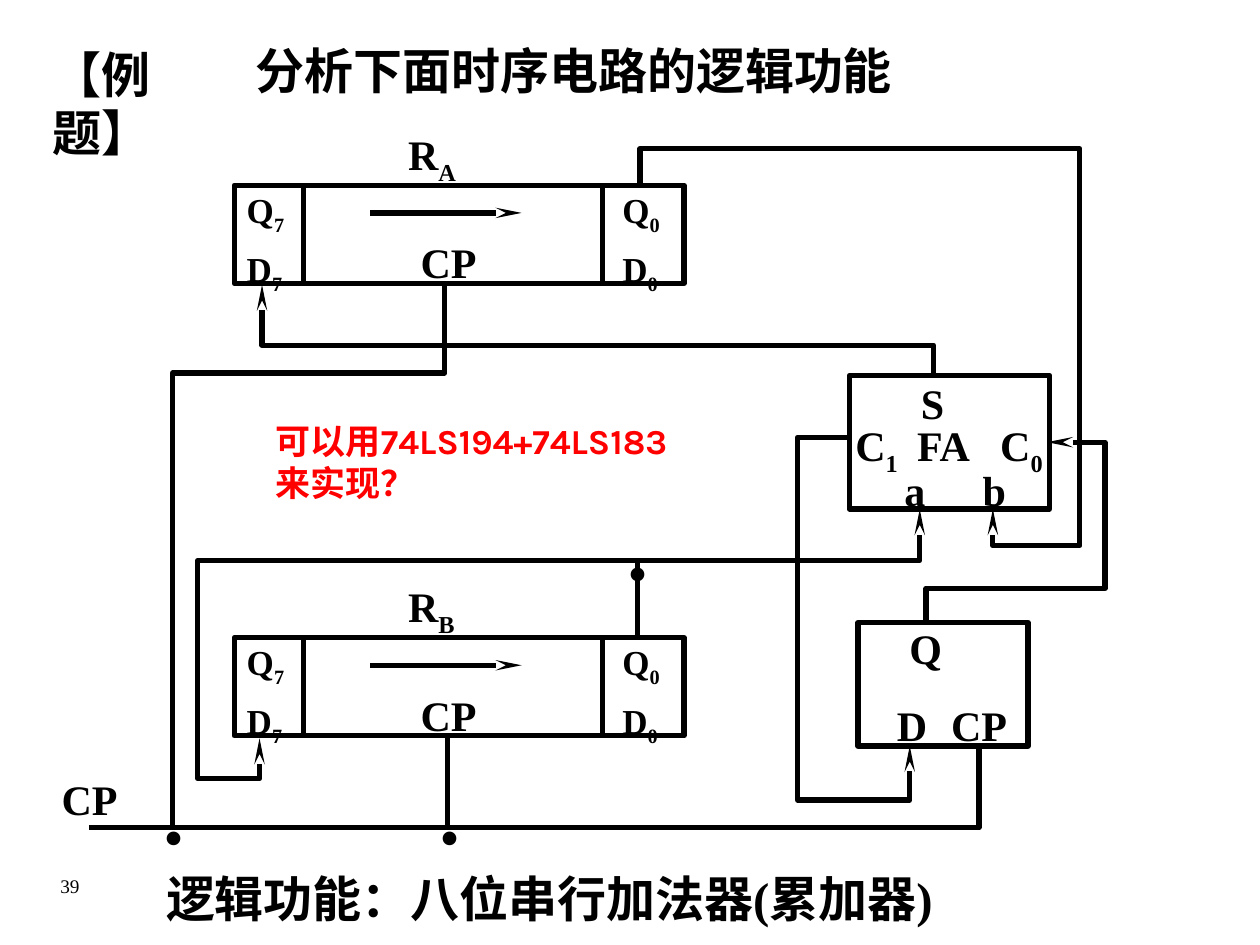
from pptx import Presentation
from pptx.dml.color import RGBColor
from pptx.enum.shapes import MSO_CONNECTOR, MSO_SHAPE
from pptx.enum.text import MSO_ANCHOR, MSO_AUTO_SIZE, PP_ALIGN
from pptx.oxml.ns import qn
from pptx.util import Pt
from lxml.etree import SubElement

SCALE = 9144  # EMU in one px, 100 px to the inch
BLACK = RGBColor(0, 0, 0)
WHITE = RGBColor(255, 255, 255)
RED = RGBColor(255, 0, 0)
SERIF = "Times New Roman"


def px(*nums):
    return [n * SCALE for n in nums]


def place(shape, box):
    shape.left, shape.top, shape.width, shape.height = px(*box)


def write(shape, lines, size, color=BLACK, font=SERIF, bold=True, align=PP_ALIGN.LEFT):
    """Each line is a string; an underscore starts its subscript."""
    frame = shape.text_frame
    frame.word_wrap = True
    frame.auto_size = MSO_AUTO_SIZE.NONE
    frame.vertical_anchor = MSO_ANCHOR.TOP
    frame.margin_left, frame.margin_right = px(10, 10)
    frame.margin_top, frame.margin_bottom = px(5 + round(size * 0.14), 5)
    for i, line in enumerate(lines):
        para = frame.add_paragraph() if i else frame.paragraphs[0]
        para.alignment = align
        para.space_before = Pt(12 if i else 0)
        if len(lines) > 1:
            para.line_spacing = 0.8
        for sub, part in enumerate(line.split("_")):
            run = para.add_run()
            run.text = part
            run.font.size = Pt(size)
            run.font.name = font
            run.font.bold = bold
            run.font.color.rgb = color
            if sub:
                run._r.get_or_add_rPr().set("baseline", "-25000")


def label(slide, box, *lines, size=24, **look):
    shape = slide.shapes.add_textbox(*px(*box))
    write(shape, lines, size, **look)


def stroke(shape, arrow=False, color=BLACK):
    shape.line.width = Pt(3)
    shape.line.color.rgb = color
    edge = shape.line._get_or_add_ln()
    SubElement(edge, qn("a:round"))
    if arrow:
        SubElement(edge, qn("a:tailEnd"), type="stealth", w="sm", len="lg")


def block(slide, box, color=BLACK):
    shape = slide.shapes.add_shape(MSO_SHAPE.RECTANGLE, *px(*box))
    shape.shadow.inherit = False
    shape.fill.background()
    stroke(shape, color=color)
    return shape


def line(slide, start, end, arrow=False):
    shape = slide.shapes.add_connector(MSO_CONNECTOR.STRAIGHT, *px(*start, *end))
    stroke(shape, arrow)
    SubElement(shape._element.spPr, qn("a:effectLst"))


def wire(slide, *points, arrow=True):
    pen = slide.shapes.build_freeform(*points[0], scale=SCALE)
    pen.add_line_segments(points[1:], close=False)
    shape = pen.convert_to_shape()
    shape.shadow.inherit = False
    shape.fill.background()
    stroke(shape, arrow)


def shifter(slide, top, name):
    """Eight-bit shift register, with its name above."""
    block(slide, (186, top, 357, 78))
    for x in (241, 478):
        line(slide, (x, top), (x, top + 79))
    for x, bit in ((186, 7), (484, 0)):
        label(slide, (x, top - 2, 55, 80), f"Q_{bit}", f"D_{bit}", size=20)
    label(slide, (324, top + 33, 88, 50), "CP")
    line(slide, (294, top + 22), (414, top + 22), arrow=True)
    label(slide, (314, top - 53, 88, 50), name)


def main():
    deck = Presentation()
    deck.slide_width, deck.slide_height = px(1000, 750)
    slide = deck.slides.add_slide(deck.slide_layouts[5])

    # Heading
    title = slide.shapes.title
    place(title, (193, 23, 572, 57))
    write(title, ["分析下面时序电路的逻辑功能"], 28)
    stroke(title, color=WHITE)
    label(slide, (32, 26, 152, 58), "【例题】", size=28)

    # Registers
    shifter(slide, 147, "R_A")
    shifter(slide, 506, "R_B")

    # Full adder
    block(slide, (674, 298, 159, 106))
    for x, y, wide, text in (
        (721, 292, 49, "S"), (718, 325, 73, "FA"), (669, 325, 65, "C_1"),
        (784, 325, 57, "C_0"), (708, 361, 49, "a"), (770, 361, 49, "b"),
    ):
        label(slide, (x, y, wide, 50), text)

    # Carry flip-flop
    block(slide, (681, 494, 135, 98))
    for x, y, wide, text in (
        (702, 547, 47, "D"), (745, 547, 80, "CP"), (712, 486, 47, "Q"),
    ):
        label(slide, (x, y, wide, 50), text)

    # Data wires
    wire(slide, (508, 147), (508, 118), (857, 118), (857, 433), (788, 433), (788, 404))
    wire(slide, (506, 504), (506, 445), (730, 445), (730, 404))
    wire(slide, (735, 494), (735, 467), (877, 467), (877, 351), (831, 351))
    wire(slide, (673, 347), (633, 347), (633, 635), (722, 635), (722, 592))
    wire(slide, (741, 298), (741, 274), (208, 274), (208, 226))
    wire(slide, (506, 445), (157, 445), (157, 618), (206, 618), (206, 586))

    # Clock wires
    wire(slide, (71, 657), (777, 657), (777, 592), arrow=False)
    line(slide, (355, 584), (355, 657))
    wire(slide, (353, 226), (353, 296), (137, 296), (137, 657), arrow=False)
    label(slide, (39, 606, 82, 50), "CP")

    # Junction dots
    for x, y in ((488, 382), (120, 592), (339, 592)):
        label(slide, (x, y, 86, 90), ".", size=48)

    # Answer, question and page number
    answer = block(slide, (122, 680, 874, 57), WHITE)
    write(answer, ["逻辑功能：八位串行加法器(累加器)"], 28)
    label(slide, (209, 325, 347, 111), "可以用74LS194+74LS183来实现？",
          size=20, color=RED, font="Karla")
    label(slide, (6, 687, 99, 37), "39", size=11, bold=False, align=PP_ALIGN.CENTER)

    deck.save("out.pptx")


if __name__ == "__main__":
    main()
